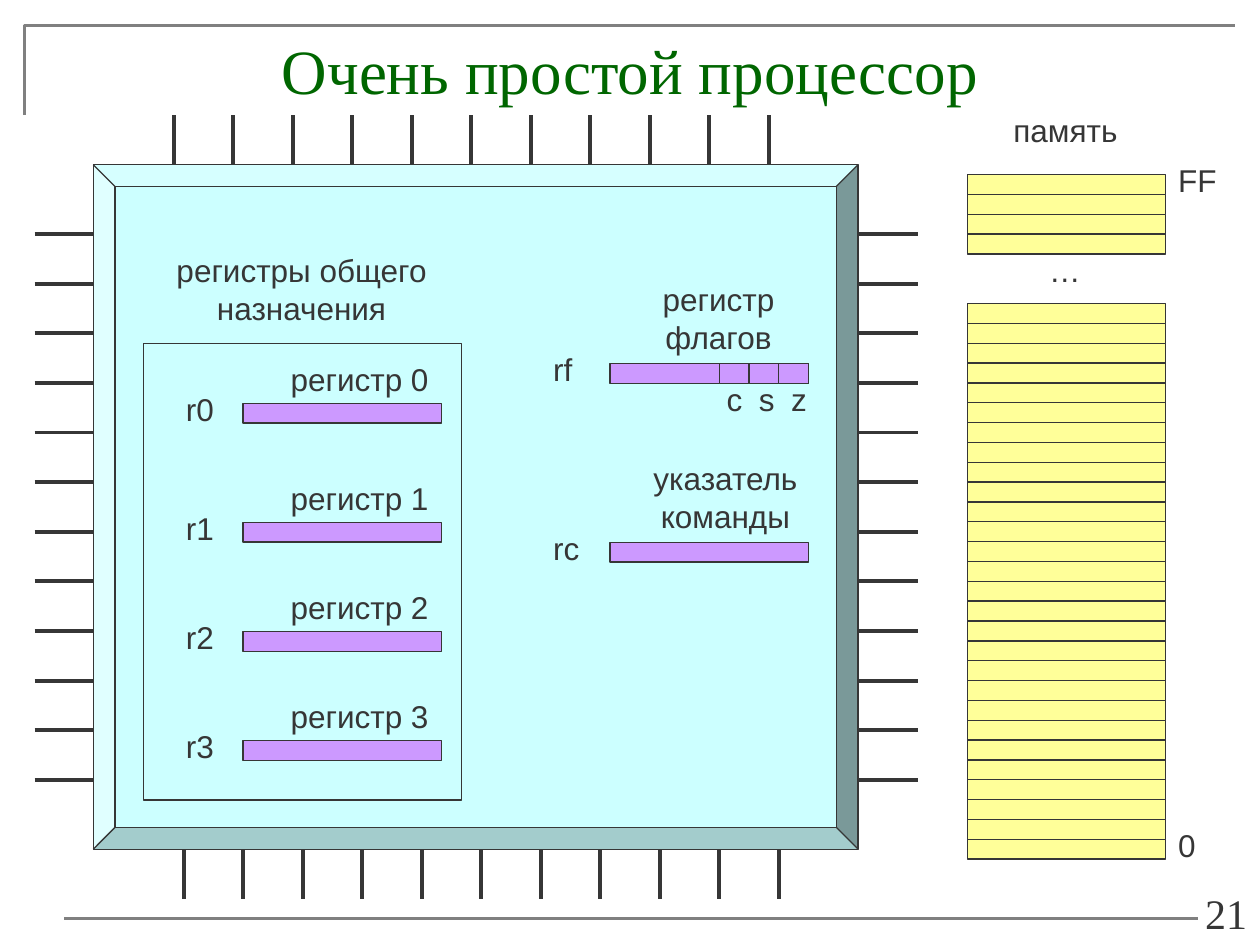
from lxml.etree import SubElement
from pptx import Presentation
from pptx.dml.color import RGBColor
from pptx.enum.shapes import MSO_CONNECTOR, MSO_SHAPE
from pptx.enum.text import MSO_ANCHOR, MSO_AUTO_SIZE, PP_ALIGN
from pptx.oxml.ns import qn
from pptx.util import Cm, Pt

COLORS = {
    "ink": "363636", "title": "006600", "rule": "808080",
    "chip": "CCFFFF", "register": "CC99FF", "memory": "FFFF99",
}
BAR_W, BAR_H = 4, 0.4
LABEL_H = 1.02


def rgb(name):
    """Return the palette colour with this name."""
    return RGBColor.from_string(COLORS[name])


def add_line(shapes, x1, y1, x2, y2, color="ink", width=2.25):
    """Draw a straight line between two points."""
    line = shapes.add_connector(MSO_CONNECTOR.STRAIGHT, Cm(x1), Cm(y1), Cm(x2), Cm(y2))
    line.line.color.rgb = rgb(color)
    line.line.width = Pt(width)
    SubElement(line._element.spPr, qn("a:effectLst"))
    return line


def add_box(shapes, x, y, w, h, fill=None, kind=MSO_SHAPE.RECTANGLE):
    """Draw a thinly outlined shape."""
    sp = shapes.add_shape(kind, Cm(x), Cm(y), Cm(w), Cm(h))
    sp.shadow.inherit = False
    if fill:
        sp.fill.solid()
        sp.fill.fore_color.rgb = rgb(fill)
    else:
        sp.fill.background()
    sp.line.color.rgb = rgb("ink")
    sp.line.width = Pt(0.75)
    return sp


def add_text(shapes, x, y, w, h, lines, size=18, font="Arial", color="ink", align=PP_ALIGN.LEFT):
    """Write one paragraph per line and return the text frame."""
    tf = shapes.add_textbox(Cm(x), Cm(y), Cm(w), Cm(h)).text_frame
    tf.word_wrap = False
    tf.text = "\n".join(lines)
    for p in tf.paragraphs:
        p.alignment = align
        p.font.size = Pt(size)
        p.font.name = font
        p.font.color.rgb = rgb(color)
    return tf


def add_label(shapes, x, y, w, *lines, align=PP_ALIGN.LEFT):
    """Write a diagram label whose box fits its text."""
    h = LABEL_H + 0.76 * (len(lines) - 1)
    tf = add_text(shapes, x, y, w, h, lines, align=align)
    tf.auto_size = MSO_AUTO_SIZE.SHAPE_TO_FIT_TEXT


def add_frame(shapes, x, y, w, h):
    """Draw the corner rule, title, bottom rule and slide number."""
    builder = shapes.build_freeform(Cm(x), Cm(y + 1.8))
    builder.add_line_segments([(Cm(x), Cm(y)), (Cm(x + w), Cm(y))], close=False)
    corner = builder.convert_to_shape()
    corner.shadow.inherit = False
    corner.fill.background()
    corner.line.color.rgb = rgb("rule")
    corner.line.width = Pt(1.5)
    add_line(shapes, x + 0.8, y + h, x + 23.65, y + h, "rule", 1.5)

    number = add_text(shapes, x + 18.97, y + 17.4, 5.92, 1.12, ["21"], 24,
                      "Times New Roman", align=PP_ALIGN.RIGHT)
    number.word_wrap = True
    number.vertical_anchor = MSO_ANCHOR.BOTTOM
    title = add_text(shapes, x, y, w, 3.4, ["Очень простой процессор"], 36,
                     "Times New Roman", "title", PP_ALIGN.CENTER)
    title.word_wrap = True


def add_pins(shapes, x, y, w, h):
    """Draw the pins on all four sides of the chip."""
    for i in range(11):
        top_x = x + 1.62 + 1.2 * i
        add_line(shapes, top_x, y - 1, top_x, y)
        add_line(shapes, top_x + 0.2, y + h, top_x + 0.2, y + h + 1)
    for i in range(12):
        pin_y = y + 1.4 + i
        add_line(shapes, x - 1.18, pin_y, x, pin_y)
        add_line(shapes, x + w, pin_y, x + w + 1.2, pin_y)


def add_register(shapes, x, y, label, caption, dx, dy, w):
    """Draw a register bar with its short name and a caption above."""
    add_box(shapes, x, y, BAR_W, BAR_H, "register")
    add_label(shapes, x - 1.4, y - 0.4, 1.1, label)
    add_label(shapes, x + dx, y + dy, w, *caption, align=PP_ALIGN.CENTER)


def add_general_registers(shapes, x, y, w, h):
    """Draw the framed group of general purpose registers."""
    add_box(shapes, x, y, w, h)
    add_label(shapes, x + 0.4, y - 2, 5.56, "регистры общего", "назначения",
              align=PP_ALIGN.CENTER)
    for i, dy in enumerate((1.2, 3.6, 5.8, 8)):
        add_register(shapes, x + 2, y + dy, f"r{i}", [f"регистр {i}"], 0.7, -1, 3.3)


def add_flags(shapes, x, y):
    """Draw the flag register with its three flag bits."""
    add_register(shapes, x, y, "rf", ["регистр", "флагов"], 0.8, -1.8, 2.77)
    for i, flag in enumerate("сsz"):
        add_box(shapes, x + 2.2 + 0.6 * i, y, 0.6, BAR_H, "register")
        add_label(shapes, x + 2.1 + 0.65 * i, y + 0.2, 0.84, flag)


def add_processor(shapes, x, y, w, h):
    """Draw the chip with its pins and registers."""
    chip = add_box(shapes, x, y, w, h, "chip", MSO_SHAPE.BEVEL)
    chip.adjustments[0] = 0.032
    add_pins(shapes, x, y, w, h)
    add_general_registers(shapes, x + 1.02, y + 3.61, 6.4, 9.2)
    add_flags(shapes, x + 10.42, y + 4.01)
    add_register(shapes, x + 10.42, y + 7.61, "rc", ["указатель", "команды"], 0.6, -1.8, 3.45)


def add_memory(shapes, x, y, w):
    """Draw the memory column with its address labels."""
    group = shapes.add_group_shape().shapes
    for start, count in ((0, 4), (2.6, 28)):
        for i in range(count):
            add_box(group, x, y + start + BAR_H * i, w, BAR_H, "memory")
    add_label(group, x + 0.67, y - 1.4, 2.62, "память", align=PP_ALIGN.CENTER)
    add_label(group, x + 1.4, y + 1.41, 1.14, "…")
    add_label(group, x + w, y - 0.4, 1.3, "FF")
    add_label(group, x + w, y + 13, 0.86, "0")


def main():
    """Build the slide and save it."""
    prs = Presentation()
    prs.slide_width, prs.slide_height = Cm(25.4), Cm(19.05)
    s = prs.slides.add_slide(prs.slide_layouts[6])
    add_frame(s.shapes, 0.5, 0.52, 24.4, 18)
    add_processor(s.shapes, 1.88, 3.32, 15.42, 13.8)
    add_memory(s.shapes, 19.5, 3.52, BAR_W)
    prs.save("out.pptx")


if __name__ == "__main__":
    main()
